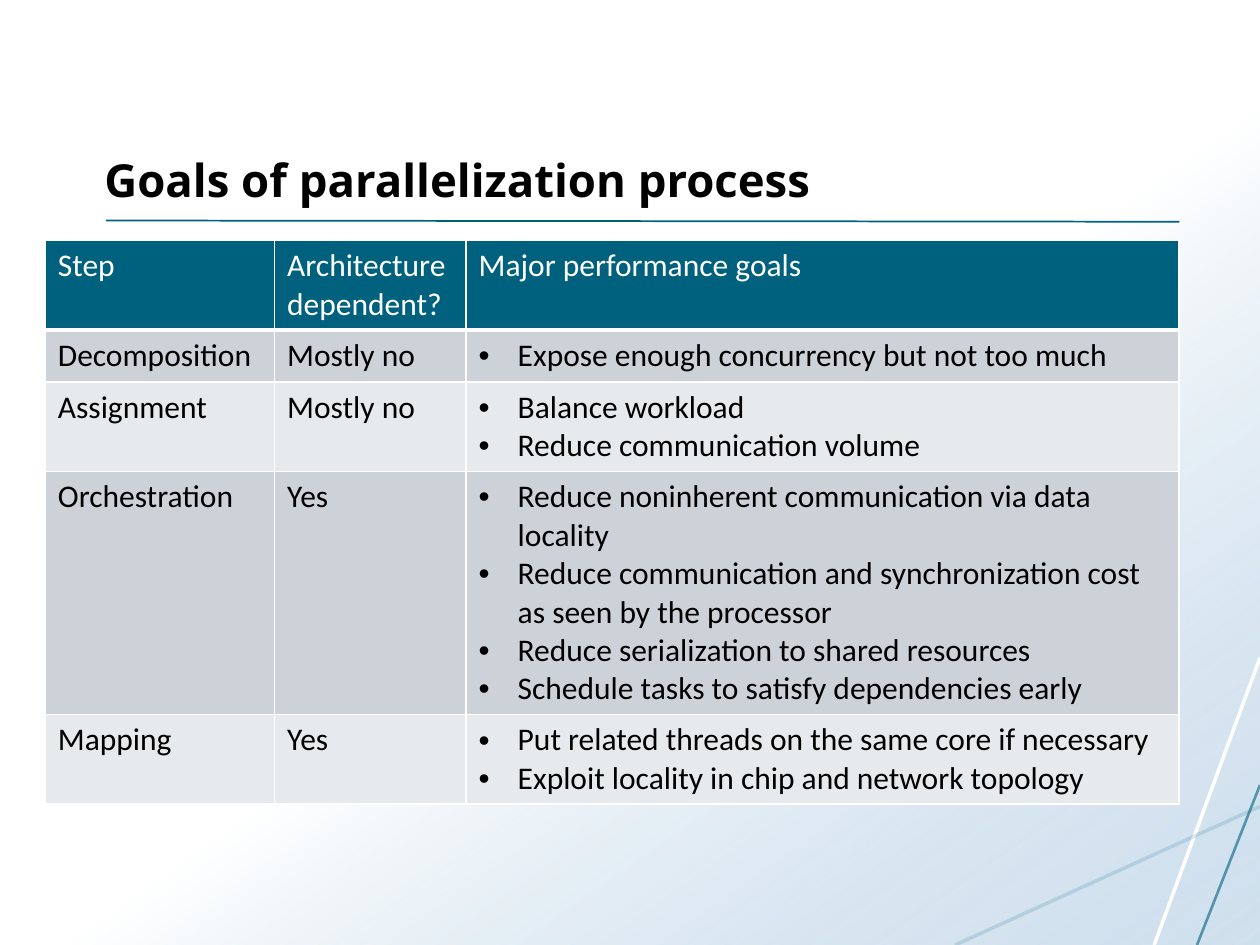
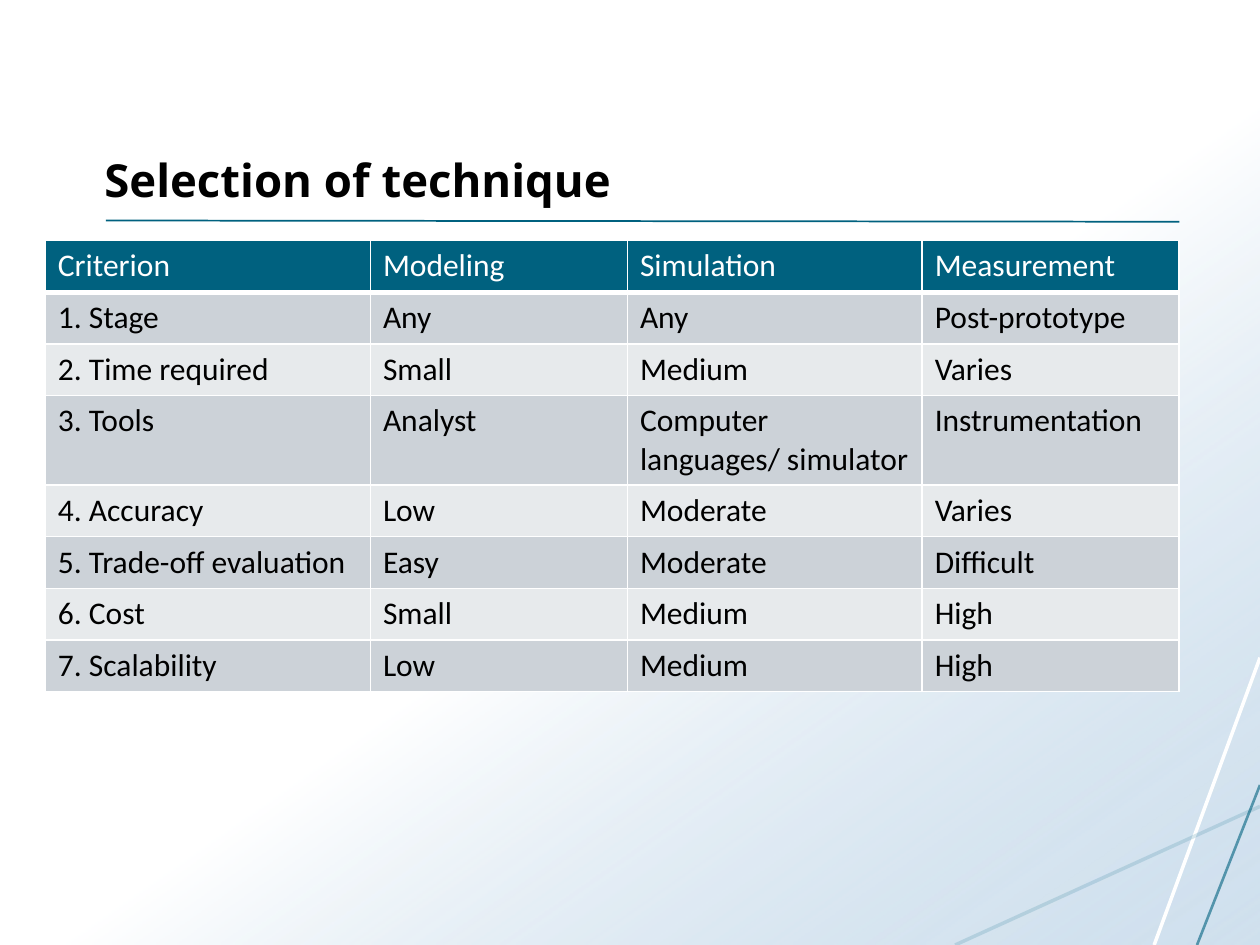
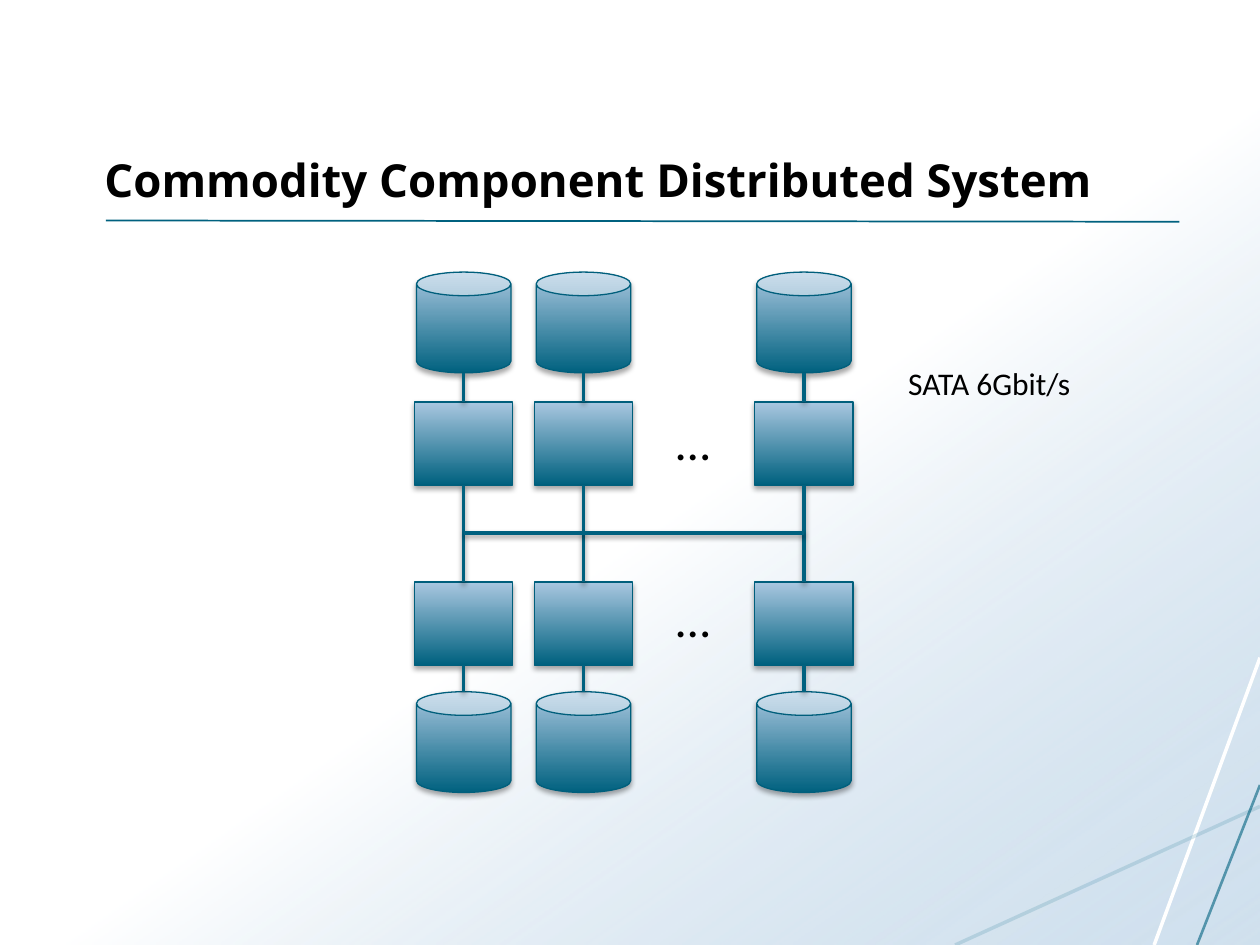
"""Builds three slides on parallel systems: two tables and one cluster diagram."""
from dataclasses import dataclass
from itertools import product
from typing import NamedTuple, Optional, Sequence

from lxml import etree
from pptx import Presentation
from pptx.dml.color import RGBColor
from pptx.enum.shapes import MSO_CONNECTOR, MSO_SHAPE
from pptx.enum.text import MSO_ANCHOR, MSO_AUTO_SIZE, PP_ALIGN
from pptx.oxml.ns import qn
from pptx.util import Inches, Pt

RECT, CAN = MSO_SHAPE.RECTANGLE, MSO_SHAPE.CAN
STRAIGHT = MSO_CONNECTOR.STRAIGHT
TOP, BOTTOM = MSO_ANCHOR.TOP, MSO_ANCHOR.BOTTOM
LEFT, CENTER = PP_ALIGN.LEFT, PP_ALIGN.CENTER
FIT_SHAPE, FIT_NONE = MSO_AUTO_SIZE.SHAPE_TO_FIT_TEXT, MSO_AUTO_SIZE.NONE


@dataclass(frozen=True)
class Theme:
    """Colours, fonts and type sizes of the deck."""
    white: str = "FFFFFF"
    black: str = "000000"
    teal: str = "00617F"
    edge: str = "005F7C"
    aqua: str = "15718F"
    sky: str = "A9C7E0"
    bands: tuple = ("CCD2D8", "E7EAEC")
    title_font: str = "Open Sans"
    body_font: str = "Calibri"
    title_size: int = 26
    body_size: int = 18
    dots_size: int = 28


class Shadow(NamedTuple):
    """A shadow that falls straight down; lengths in points."""
    alpha: int
    blur: float
    dist: float


class Line(NamedTuple):
    """A straight line with its stroke."""
    x1: float
    y1: float
    x2: float
    y2: float
    color: str
    width: float
    alpha: int = 100


class Stop(NamedTuple):
    """One colour stop of a gradient."""
    position: float
    color: str
    alpha: int = 100


class TableSpec(NamedTuple):
    """A table: column widths, row heights and cell contents."""
    cols: Sequence[float]
    rows: Sequence[float]
    cells: Sequence[Sequence]


T = Theme()
WIDTH, HEIGHT = 10, 7.5
ROW, TWO_ROWS = 0.41, 0.7
SHAPE_SHADOW, LINE_SHADOW = Shadow(35, 3.1, 1.8), Shadow(38, 3.1, 1.6)
BACKDROP = (Stop(0.54, T.white), Stop(1, T.sky, 54))
NODE_FILL = (Stop(0, T.teal), Stop(1, T.sky))
DECOR = (
    Line(WIDTH, 5.22, 9.16, HEIGHT, T.white, 2),
    Line(WIDTH, 6.4, 7.58, HEIGHT, T.aqua, 2, 16),
    Line(WIDTH, 6.23, 9.5, HEIGHT, T.teal, 1.5, 60),
    Line(0.84, 1.75, 9.36, 1.76, T.teal, 1),
)

GOALS = TableSpec((1.82, 1.52, 5.66), (TWO_ROWS, ROW, TWO_ROWS, 1.9, TWO_ROWS), (
    ("Step", "Architecture dependent?", "Major performance goals"),
    ("Decomposition", "Mostly no", ["Expose enough concurrency but not too much"]),
    ("Assignment", "Mostly no", ["Balance workload", "Reduce communication volume"]),
    ("Orchestration", "Yes", [
        "Reduce noninherent communication via data locality",
        "Reduce communication and synchronization cost as seen by the processor",
        "Reduce serialization to shared resources",
        "Schedule tasks to satisfy dependencies early"]),
    ("Mapping", "Yes", ["Put related threads on the same core if necessary",
                        "Exploit locality in chip and network topology"]),
))
TECHNIQUES = TableSpec((2.58, 2.04, 2.34, 2.04), (ROW,) * 3 + (TWO_ROWS,) + (ROW,) * 4, (
    ("Criterion", "Modeling", "Simulation", "Measurement"),
    ("1. Stage", "Any", "Any", "Post-prototype"),
    ("2. Time required", "Small", "Medium", "Varies"),
    ("3. Tools", "Analyst", "Computer languages/ simulator", "Instrumentation"),
    ("4. Accuracy", "Low", "Moderate", "Varies"),
    ("5. Trade-off evaluation", "Easy", "Moderate", "Difficult"),
    ("6. Cost", "Small", "Medium", "High"),
    ("7. Scalability", "Low", "Medium", "High"),
))


def rgb(color: str) -> RGBColor:
    """Turn a hex string into a colour."""
    return RGBColor.from_string(color)


def sub(parent, tag: str, **attrs):
    """Append a DrawingML element with the given attributes."""
    return etree.SubElement(parent, qn(tag), {k: str(v) for k, v in attrs.items()})


def set_alpha(node, percent: int) -> None:
    """Make an RGB colour element translucent."""
    if percent < 100:
        sub(node, "a:alpha", val=percent * 1000)


def set_shadow(s, shadow: Optional[Shadow] = None) -> None:
    """Replace the inherited shadow by the given one or by none."""
    effects = sub(s._element.spPr, "a:effectLst")
    if shadow:
        outer = sub(effects, "a:outerShdw", blurRad=Pt(shadow.blur), dist=Pt(shadow.dist),
                    dir=90 * 60000, rotWithShape=0)
        set_alpha(sub(outer, "a:srgbClr", val=T.black), shadow.alpha)


def add_line(slide, line: Line, shadow: Optional[Shadow] = None) -> None:
    """Draw a straight line."""
    s = slide.shapes.add_connector(
        STRAIGHT, *(Inches(v) for v in (line.x1, line.y1, line.x2, line.y2)))
    s.line.color.rgb = rgb(line.color)
    s.line.width = Pt(line.width)
    set_alpha(s._element.spPr.find(".//" + qn("a:srgbClr")), line.alpha)
    set_shadow(s, shadow)


def add_gradient_shape(slide, kind, x: float, y: float, w: float, h: float,
                       stops: Sequence[Stop], angle: float, edge: Optional[str] = None,
                       shadow: Optional[Shadow] = None) -> None:
    """Draw a preset shape with a linear gradient; the angle is counter-clockwise."""
    s = slide.shapes.add_shape(kind, Inches(x), Inches(y), Inches(w), Inches(h))
    s.fill.gradient()
    s.fill.gradient_angle = angle
    for target, stop in zip(s.fill.gradient_stops, stops):
        target.position = stop.position
        target.color.rgb = rgb(stop.color)
    for node, stop in zip(s._element.spPr.iter(qn("a:srgbClr")), stops):
        set_alpha(node, stop.alpha)
    if edge:
        s.line.color.rgb = rgb(edge)
        s.line.width = Pt(0.75)
    else:
        s.line.fill.background()
    set_shadow(s, shadow)


def write(tf, text, *, size: int = T.body_size, font: str = T.body_font,
          color: str = T.black, bold: bool = False, align=LEFT) -> None:
    """Fill a text frame; a list of strings becomes bulleted paragraphs."""
    bulleted = not isinstance(text, str)
    for i, words in enumerate(text if bulleted else [text]):
        p = tf.add_paragraph() if i else tf.paragraphs[0]
        p.alignment = align
        if bulleted:
            pPr = p._p.get_or_add_pPr()
            pPr.set("marL", str(Inches(0.31)))
            pPr.set("indent", str(-Inches(0.31)))
            sub(pPr, "a:buFont", typeface="Arial")
            sub(pPr, "a:buChar", char="•")
        r = p.add_run()
        r.text = words
        r.font.size, r.font.name, r.font.bold = Pt(size), font, bold
        r.font.color.rgb = rgb(color)


def add_text(slide, text: str, x: float, y: float, w: float, h: float, *,
             anchor=TOP, wrap: bool = True, fit=FIT_SHAPE, **fmt):
    """Add a text box and return its frame."""
    tf = slide.shapes.add_textbox(Inches(x), Inches(y), Inches(w), Inches(h)).text_frame
    tf.word_wrap, tf.auto_size, tf.vertical_anchor = wrap, fit, anchor
    write(tf, text, **fmt)
    return tf


def set_borders(cell, bottom: int) -> None:
    """Give a cell white borders, thin except for the bottom one."""
    tcPr = cell._tc.get_or_add_tcPr()
    for i, side in enumerate(("a:lnL", "a:lnR", "a:lnT", "a:lnB")):
        ln = sub(tcPr, side, w=Pt(bottom if side == "a:lnB" else 1))
        sub(sub(ln, "a:solidFill"), "a:srgbClr", val=T.white)
        tcPr.insert(i, ln)


def add_table(slide, spec: TableSpec) -> None:
    """Draw a table with a dark header and banded rows."""
    table = slide.shapes.add_table(
        len(spec.rows), len(spec.cols), Inches(0.36), Inches(1.91),
        Inches(sum(spec.cols)), Inches(sum(spec.rows))).table
    for column, width in zip(table.columns, spec.cols):
        column.width = Inches(width)
    for row, height in zip(table.rows, spec.rows):
        row.height = Inches(height)
    for i, j in product(range(len(spec.rows)), range(len(spec.cols))):
        cell, header = table.cell(i, j), i == 0
        cell.fill.solid()
        cell.fill.fore_color.rgb = rgb(T.teal if header else T.bands[(i - 1) % 2])
        set_borders(cell, 3 if header else 1)
        write(cell.text_frame, spec.cells[i][j], color=T.white if header else T.black)


def add_cluster(slide) -> None:
    """Draw two rows of nodes with disks, joined by one network line."""
    centers = (3.68, 4.63, 6.38)
    node_w, node_h, disk_w, disk_h = 0.78, 0.66, 0.75, 0.8
    node_tops, disk_tops, bus = (3.19, 4.62), (2.16, 5.49), 4.23
    upper_end, lower_end = node_tops[0] + node_h, node_tops[1] + node_h
    style = (NODE_FILL, 90, T.edge, SHAPE_SHADOW)

    def link(x1: float, y1: float, x2: float, y2: float) -> None:
        """Draw one connection."""
        add_line(slide, Line(x1, y1, x2, y2, T.teal, 2), LINE_SHADOW)

    for y, x in product(node_tops, centers):
        add_gradient_shape(slide, RECT, x - node_w / 2, y, node_w, node_h, *style)
    for y in (3.22, 4.62):
        add_text(slide, "…", 5.02, y, 0.96, 0.57, size=T.dots_size, align=CENTER)
    for x in centers:
        link(x, upper_end, x, node_tops[1])
    for y, x in product(disk_tops, centers):
        add_gradient_shape(slide, CAN, x - disk_w / 2, y, disk_w, disk_h, *style)
    link(centers[0], bus, centers[-1], bus)
    for x in centers:
        link(x, disk_tops[0] + disk_h, x, node_tops[0])
        link(x, lower_end, x, disk_tops[1])
    add_text(slide, "SATA 6Gbit/s", 7.11, 2.84, 1.55, 0.4, wrap=False)


def add_slide(prs, title: str):
    """Add a slide with the shared backdrop, lines and title."""
    slide = prs.slides.add_slide(prs.slide_layouts[6])
    add_gradient_shape(slide, RECT, 0, 0, WIDTH, HEIGHT, BACKDROP, 305)
    for line in DECOR:
        add_line(slide, line)
    tf = add_text(slide, title, 0.73, 0.33, 8.62, 1.33, anchor=BOTTOM, fit=FIT_NONE,
                  size=T.title_size, font=T.title_font, bold=True)
    tf.margin_bottom = Inches(0.02)
    return slide


def main() -> None:
    """Build and save the deck."""
    prs = Presentation()
    prs.slide_width, prs.slide_height = Inches(WIDTH), Inches(HEIGHT)
    add_table(add_slide(prs, "Goals of parallelization process"), GOALS)
    add_table(add_slide(prs, "Selection of technique"), TECHNIQUES)
    add_cluster(add_slide(prs, "Commodity Component Distributed System"))
    prs.save("out.pptx")


main()
